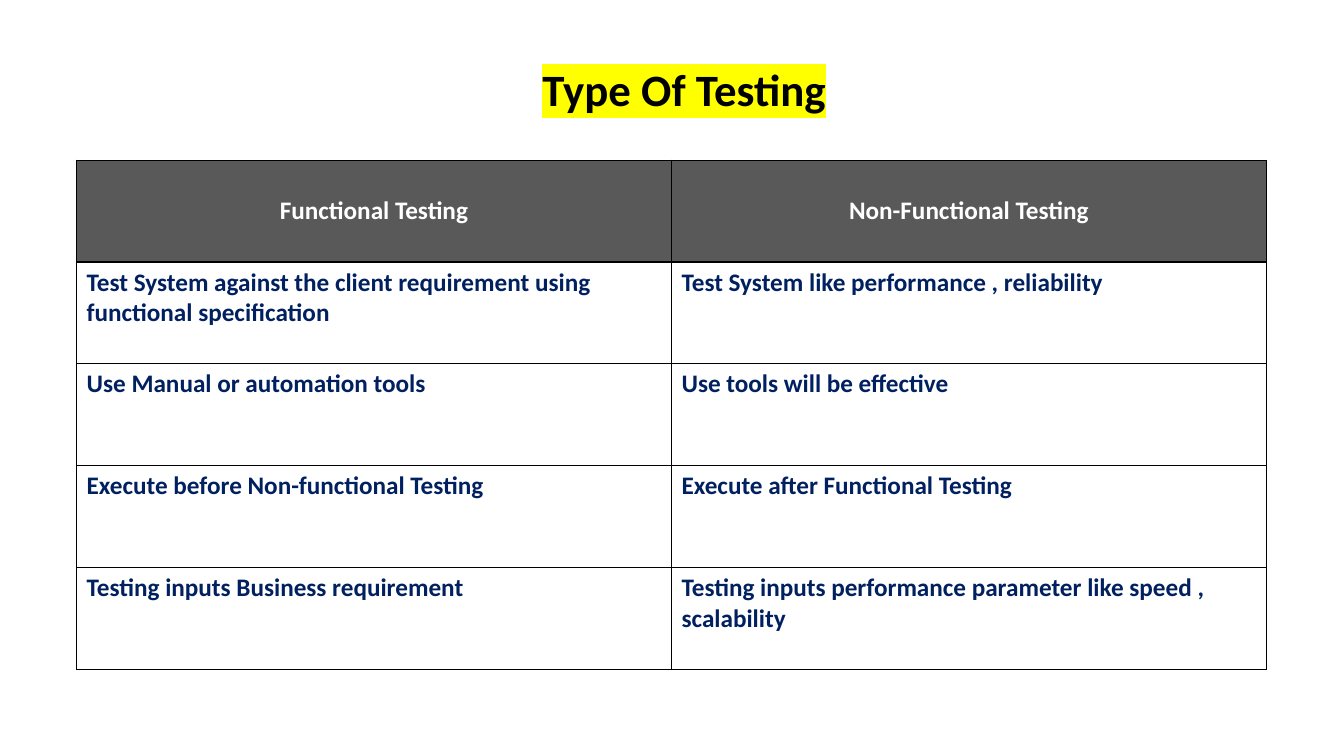
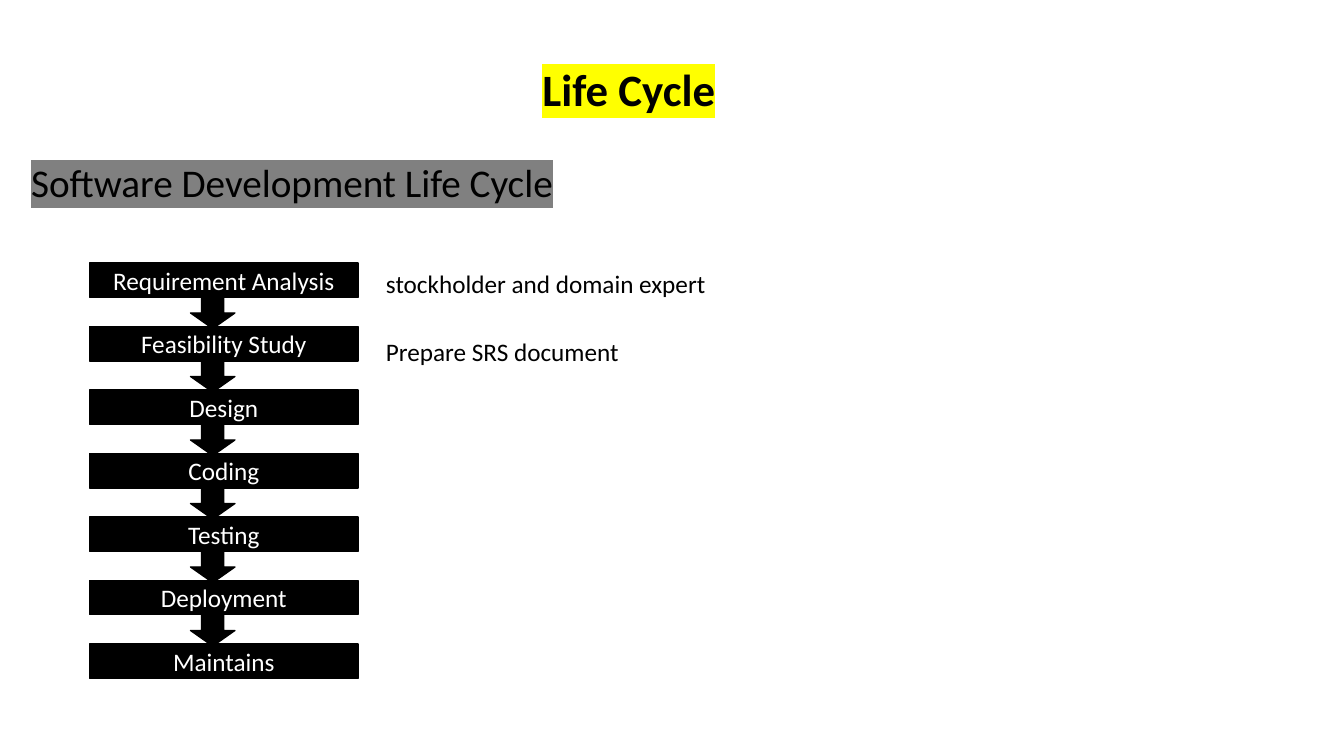
from dataclasses import dataclass

from lxml import etree
from pptx import Presentation
from pptx.dml.color import RGBColor
from pptx.enum.shapes import MSO_SHAPE
from pptx.enum.text import MSO_ANCHOR, MSO_AUTO_SIZE, PP_ALIGN
from pptx.oxml.ns import qn
from pptx.util import Inches, Pt

RECT, DOWN_ARROW = MSO_SHAPE.RECTANGLE, MSO_SHAPE.DOWN_ARROW
LEFT, CENTER = PP_ALIGN.LEFT, PP_ALIGN.CENTER
TOP, MIDDLE = MSO_ANCHOR.TOP, MSO_ANCHOR.MIDDLE

# Content
TESTING_TITLE = "Type Of Testing"
TESTING_ROWS = [
    ("Functional Testing", "Non-Functional Testing"),
    ("Test System against the client requirement using functional specification",
     "Test System like performance , reliability"),
    ("Use Manual or automation tools", "Use tools will be effective"),
    ("Execute before Non-functional Testing", "Execute after Functional Testing"),
    ("Testing inputs Business requirement",
     "Testing inputs performance parameter like speed , scalability"),
]
CYCLE_TITLE = "Life Cycle"
CYCLE_HEADING = "Software Development Life Cycle"
PHASES = ["Requirement Analysis", "Feasibility Study", "Design", "Coding",
          "Testing", "Deployment", "Maintains"]
PHASE_NOTES = ["stockholder and domain expert", "Prepare SRS document"]


@dataclass(frozen=True)
class Theme:
    font: str = "Calibri"
    black: str = "000000"
    white: str = "FFFFFF"
    navy: str = "002060"
    header: str = "595959"
    title_mark: str = "FFFF00"
    heading_mark: str = "808080"
    title: int = 32
    heading: int = 28
    body: int = 18
    line: int = 1


T = Theme()

# Geometry, in inches
SLIDE_W, SLIDE_H = 13.33, 7.5
TITLE_X, TITLE_Y, TITLE_H = 5.28, 0.56, 1.18
TABLE_X, TABLE_Y, COL_W, ROW_H = 0.76, 1.59, 5.9, 1.01
PHASE_X, PHASE_Y, PHASE_W, PHASE_H, PITCH = 0.89, 2.61, 2.66, 0.34, 0.63
ARROW_X, ARROW_W, ARROW_H = 1.89, 0.44, 0.31
NOTE_X, NOTE_W, NOTE_H, NOTE_PITCH = 3.73, 6.66, 0.4, 0.68


def rgb(color):
    return RGBColor.from_string(color)


def write(tf, text, size=T.body, color=T.black, bold=False, mark=None,
          align=LEFT, anchor=TOP, wrap=True):
    """Fill a text frame with one formatted paragraph."""
    tf.word_wrap, tf.vertical_anchor = wrap, anchor
    p = tf.paragraphs[0]
    p.alignment = align
    r = p.add_run()
    r.text = text
    font = r.font
    font.name, font.size, font.bold = T.font, Pt(size), bold
    font.color.rgb = rgb(color)
    if mark:
        fill = r._r.get_or_add_rPr().find(qn("a:solidFill"))
        highlight = etree.Element(qn("a:highlight"))
        etree.SubElement(highlight, qn("a:srgbClr"), val=mark)
        fill.addnext(highlight)


def add_titled_slide(prs, title, width):
    s = prs.slides.add_slide(prs.slide_layouts[5])
    sp = s.shapes.title
    sp.left, sp.top = Inches(TITLE_X), Inches(TITLE_Y)
    sp.width, sp.height = Inches(width), Inches(TITLE_H)
    sp.text_frame.auto_size = MSO_AUTO_SIZE.NONE
    write(sp.text_frame, title, size=T.title, bold=True, mark=T.title_mark, wrap=False)
    return s


def add_text(s, text, x, y, w, h, **fmt):
    sp = s.shapes.add_textbox(*map(Inches, (x, y, w, h)))
    write(sp.text_frame, text, **fmt)


def add_block(s, kind, x, y, w, h):
    sp = s.shapes.add_shape(kind, *map(Inches, (x, y, w, h)))
    sp.shadow.inherit = False
    sp.fill.solid()
    sp.fill.fore_color.rgb = rgb(T.black)
    sp.line.color.rgb = rgb(T.black)
    sp.line.width = Pt(T.line)
    return sp


def add_borders(cell):
    tc_pr = cell._tc.get_or_add_tcPr()
    for side in ("lnL", "lnR", "lnT", "lnB"):
        ln = etree.SubElement(tc_pr, qn(f"a:{side}"), w=str(Pt(T.line)))
        fill = etree.SubElement(ln, qn("a:solidFill"))
        etree.SubElement(fill, qn("a:srgbClr"), val=T.black)


def add_grid(s, rows):
    n_rows, n_cols = len(rows), len(rows[0])
    table = s.shapes.add_table(n_rows, n_cols, *map(Inches, (
        TABLE_X, TABLE_Y, COL_W * n_cols, ROW_H * n_rows))).table
    for col in table.columns:
        col.width = Inches(COL_W)
    for i, row in enumerate(rows):
        table.rows[i].height = Inches(ROW_H)
        is_header = i == 0
        for j, text in enumerate(row):
            cell = table.cell(i, j)
            add_borders(cell)
            cell.fill.solid()
            cell.fill.fore_color.rgb = rgb(T.header if is_header else T.white)
            write(cell.text_frame, text, bold=True,
                  color=T.white if is_header else T.navy,
                  align=CENTER if is_header else LEFT)
            cell.vertical_anchor = MIDDLE if is_header else TOP


prs = Presentation()
prs.slide_width, prs.slide_height = Inches(SLIDE_W), Inches(SLIDE_H)

# Testing types: comparison table
s = add_titled_slide(prs, TESTING_TITLE, 3.04)
add_grid(s, TESTING_ROWS)

# Life cycle: phases joined by arrows, with notes beside the first ones
s = add_titled_slide(prs, CYCLE_TITLE, 1.93)
add_text(s, CYCLE_HEADING, 0.21, 1.52, 6.67, 0.57, size=T.heading, mark=T.heading_mark)
for i, phase in enumerate(PHASES):
    y = PHASE_Y + i * PITCH
    box = add_block(s, RECT, PHASE_X, y, PHASE_W, PHASE_H)
    write(box.text_frame, phase, color=T.white, align=CENTER, anchor=MIDDLE)
    if i < len(PHASES) - 1:
        add_block(s, DOWN_ARROW, ARROW_X, y + PHASE_H, ARROW_W, ARROW_H)
for i, note in enumerate(PHASE_NOTES):
    add_text(s, note, NOTE_X, PHASE_Y + i * NOTE_PITCH, NOTE_W, NOTE_H)

prs.save("out.pptx")
